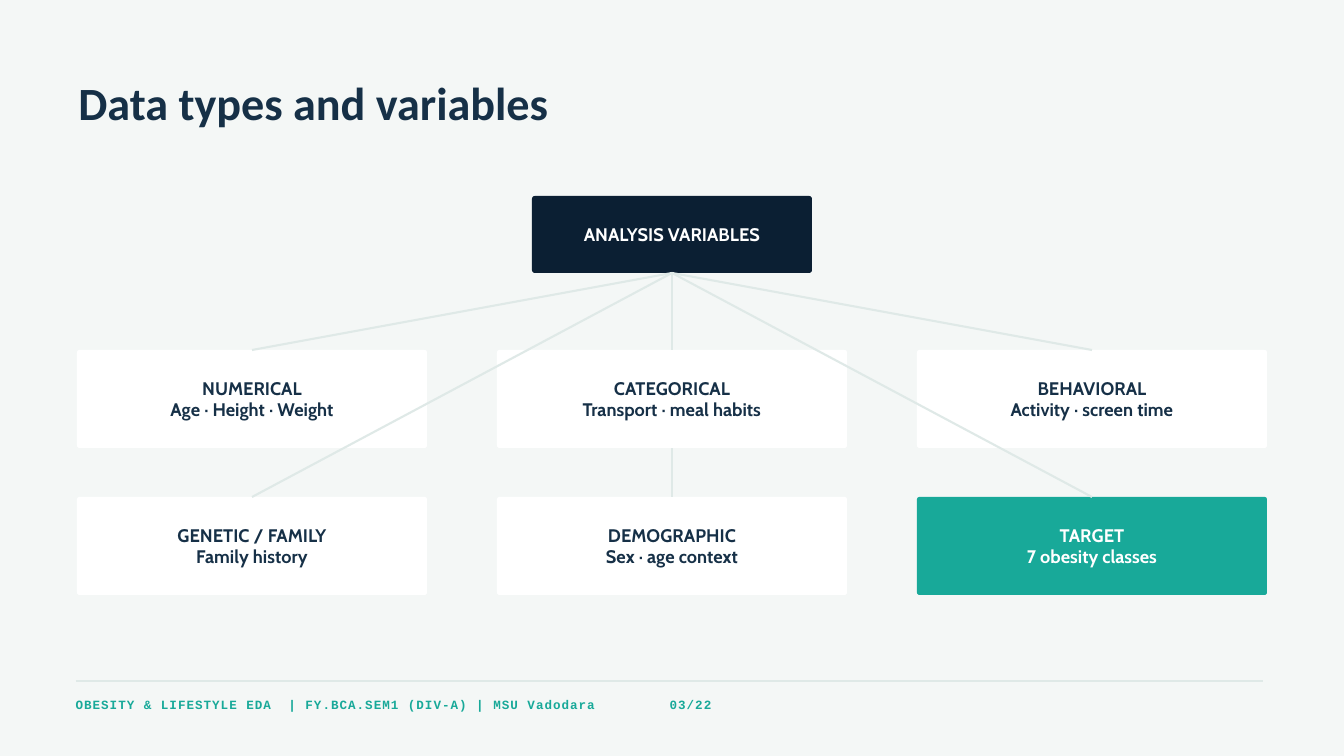
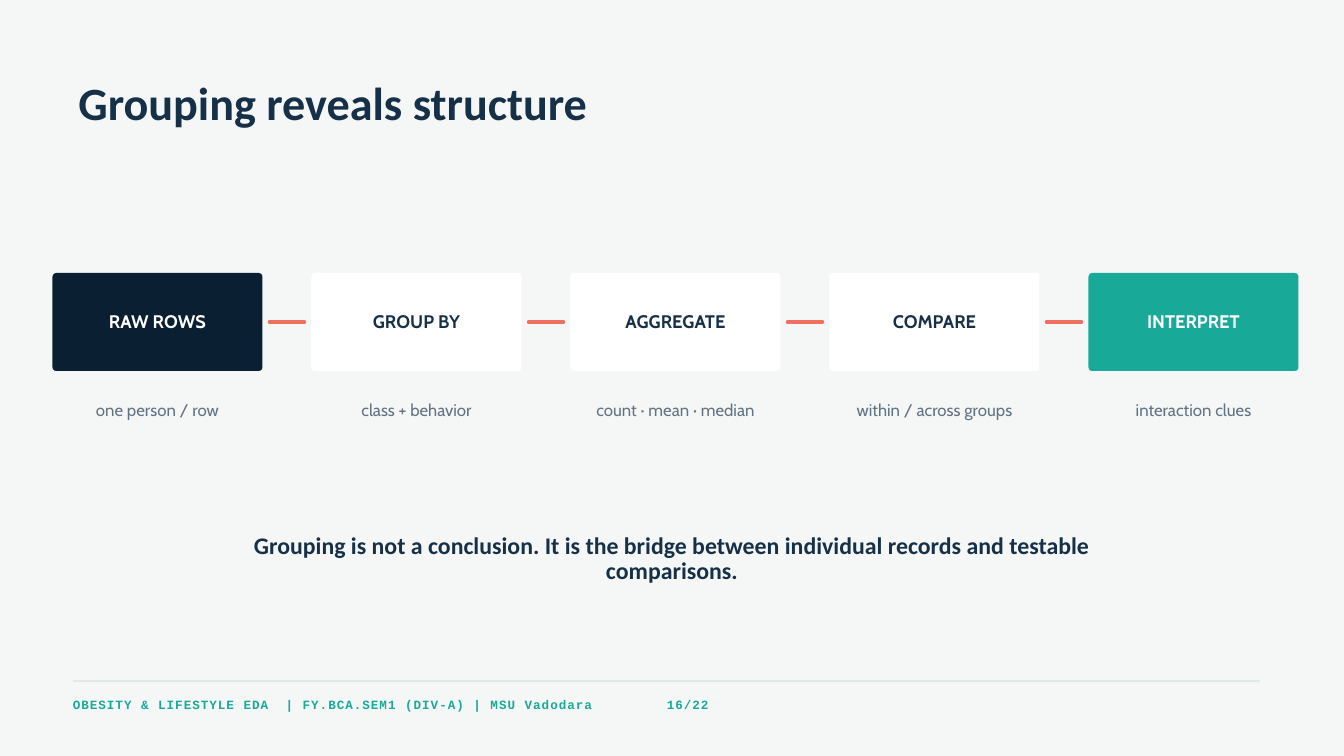
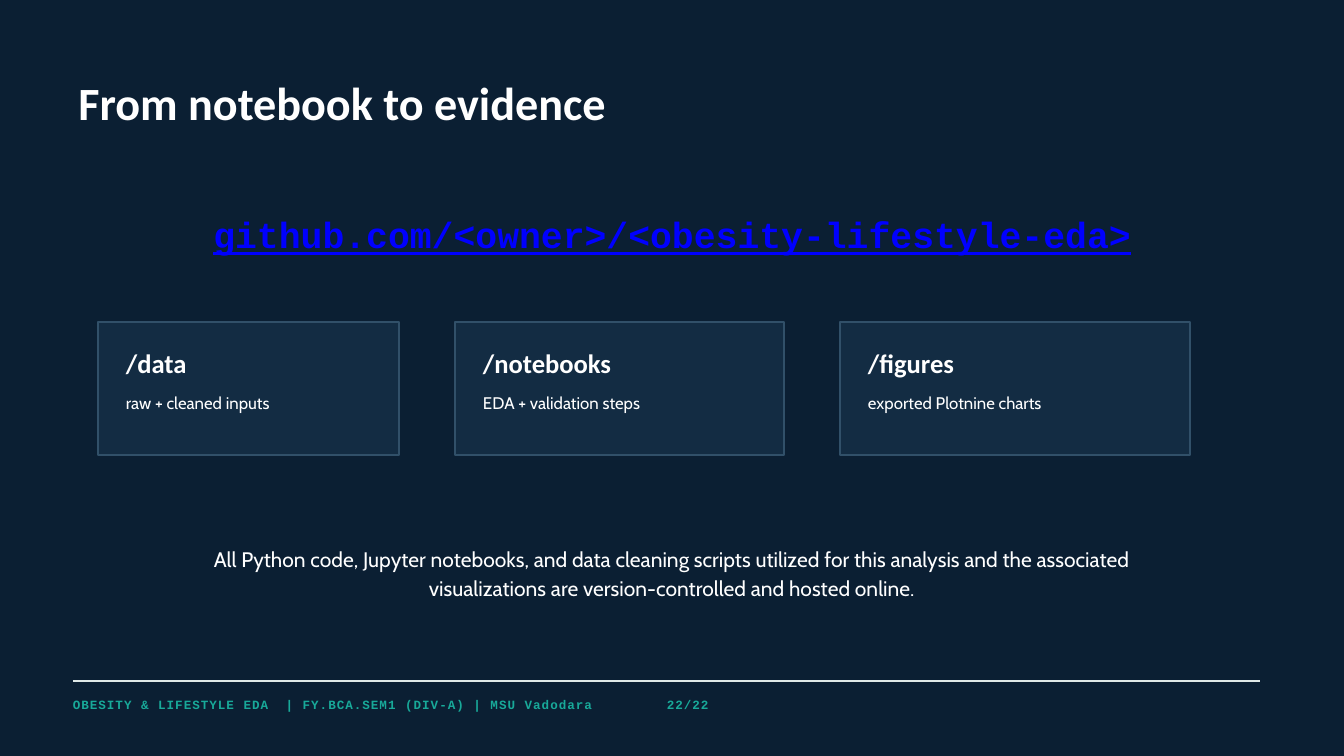
from dataclasses import dataclass

from pptx import Presentation
from pptx.dml.color import RGBColor
from pptx.enum.shapes import MSO_CONNECTOR, MSO_SHAPE
from pptx.enum.text import MSO_ANCHOR, MSO_AUTO_SIZE, PP_ALIGN
from pptx.oxml.ns import qn
from pptx.util import Pt
from lxml import etree


@dataclass(frozen=True)
class TextStyle:
    font: str
    size: float
    line_spacing: float
    bold: bool = False
    underline: bool = False
    tracking: float = 0


class Theme:
    paper = "F4F7F6"
    navy = "0B1F33"
    ink = "163047"
    white = "FFFFFF"
    teal = "18A999"
    coral = "EF6F61"
    slate = "627384"
    rule = "DFE9E7"
    card = "132C43"
    card_border = "315069"
    link = "0000FF"

    title = TextStyle("Calibri", 49.5, 51.5, bold=True)
    heading = TextStyle("Calibri", 28.5, 29.6, bold=True)
    statement = TextStyle("Calibri", 25.5, 26.5, bold=True)
    body = TextStyle("Cabin", 22.5, 30.4)
    box = TextStyle("Cabin", 19.5, 22.4, bold=True)
    caption = TextStyle("Cabin", 18, 24.3)
    address = TextStyle("Courier New", 39, 54.6, bold=True, underline=True)
    footer = TextStyle("Courier New", 13.5, 18.9, bold=True, tracking=1.1)


FOOTER = "OBESITY & LIFESTYLE EDA\t| FY.BCA.SEM1 (DIV-A) | MSU Vadodara"
PAGE_COUNT = 22


class Deck:
    def __init__(self, theme):
        self.theme = theme
        self.presentation = Presentation()
        self.presentation.slide_width = Pt(1440)
        self.presentation.slide_height = Pt(810)
        self.slide = None

    def new_slide(self, title, background, title_color):
        layout = self.presentation.slide_layouts.get_by_name("Title Only")
        self.slide = self.presentation.slides.add_slide(layout)
        fill = self.slide.background.fill
        fill.solid()
        fill.fore_color.rgb = RGBColor.from_string(background)
        placeholder = self.slide.shapes.title
        placeholder.left, placeholder.top = Pt(84), Pt(88)
        placeholder.width, placeholder.height = Pt(1125), Pt(55.5)
        self.set_text(placeholder, title, self.theme.title, title_color)

    def set_text(self, shape, text, style, color, align=PP_ALIGN.LEFT,
                 anchor=MSO_ANCHOR.TOP, inset=0, tab=None):
        frame = shape.text_frame
        frame.word_wrap = True
        frame.auto_size = MSO_AUTO_SIZE.NONE
        frame.vertical_anchor = anchor
        frame.margin_left = frame.margin_right = Pt(inset)
        frame.margin_top = frame.margin_bottom = Pt(inset)
        frame.text = text
        for paragraph in frame.paragraphs:
            paragraph.alignment = align
            paragraph.line_spacing = Pt(style.line_spacing)
            if tab:
                properties = paragraph._p.get_or_add_pPr()
                tab_list = etree.SubElement(properties, qn("a:tabLst"))
                etree.SubElement(tab_list, qn("a:tab"), pos=str(Pt(tab)), algn="l")
            for run in paragraph.runs:
                font = run.font
                font.name = style.font
                font.size = Pt(style.size)
                font.bold = style.bold
                font.underline = style.underline
                font.color.rgb = RGBColor.from_string(color)
                if style.tracking:
                    run._r.get_or_add_rPr().set("spc", str(round(style.tracking * 100)))

    def text(self, left, top, width, height, text, style, color, **options):
        shape = self.slide.shapes.add_textbox(Pt(left), Pt(top), Pt(width), Pt(height))
        self.set_text(shape, text, style, color, **options)

    def panel(self, left, top, width, height, fill, border=None, radius=0):
        kind = MSO_SHAPE.ROUNDED_RECTANGLE if radius else MSO_SHAPE.RECTANGLE
        shape = self.slide.shapes.add_shape(
            kind, Pt(left), Pt(top), Pt(width), Pt(height))
        shape.shadow.inherit = False
        if radius:
            shape.adjustments[0] = radius / min(width, height)
        shape.fill.solid()
        shape.fill.fore_color.rgb = RGBColor.from_string(fill)
        if border:
            shape.line.color.rgb = RGBColor.from_string(border)
            shape.line.width = Pt(1.5)
        else:
            shape.line.fill.background()
        return shape

    def box(self, left, top, width, height, text, fill, radius):
        """Draw a rounded box whose text contrasts with its fill."""
        shape = self.panel(left, top, width, height, fill, radius=radius)
        color = self.theme.ink if fill == self.theme.white else self.theme.white
        self.set_text(shape, text, self.theme.box, color, align=PP_ALIGN.CENTER,
                      anchor=MSO_ANCHOR.MIDDLE, inset=4.5)
        return shape

    def line(self, start, end, color, width, round_cap=False):
        connector = self.slide.shapes.add_connector(
            MSO_CONNECTOR.STRAIGHT, *(Pt(value) for value in (*start, *end)))
        connector.line.color.rgb = RGBColor.from_string(color)
        connector.line.width = Pt(width)
        properties = connector._element.spPr
        etree.SubElement(properties, qn("a:effectLst"))
        if round_cap:
            properties.find(qn("a:ln")).set("cap", "rnd")
        return connector

    def branch(self, parent, child):
        """Join the bottom of the parent to the top of the child."""
        connector = self.line((0, 0), (0, 0), self.theme.rule, 2.25)
        connector.begin_connect(parent, 2)
        connector.end_connect(child, 0)

    def footer(self, page, left=78):
        theme = self.theme
        self.line((left, 730), (left + 1272, 730), theme.rule, 2)
        self.text(left, 744.5, 620, 18, FOOTER, theme.footer, theme.teal, tab=228)
        self.text(left + 636.5, 744.5, 100, 18, f"{page:02}/{PAGE_COUNT}",
                  theme.footer, theme.teal)


def variables_slide(deck):
    theme = deck.theme
    deck.new_slide("Data types and variables", theme.paper, theme.ink)
    root = deck.box(570, 210, 300, 82.5, "ANALYSIS VARIABLES", theme.navy, 3)
    # The demographic branch comes first so that it passes behind the upper row.
    groups = [
        (1, 1, "DEMOGRAPHIC\nSex · age context", theme.white),
        (0, 0, "NUMERICAL\nAge · Height · Weight", theme.white),
        (1, 0, "CATEGORICAL\nTransport · meal habits", theme.white),
        (2, 0, "BEHAVIORAL\nActivity · screen time", theme.white),
        (0, 1, "GENETIC / FAMILY\nFamily history", theme.white),
        (2, 1, "TARGET\n7 obesity classes", theme.teal),
    ]
    for column, row, text, fill in groups:
        group = deck.box(82.5 + 450 * column, 375 + 157.5 * row, 375, 105,
                         text, fill, 2.5)
        deck.branch(root, group)
    deck.footer(3, left=81)


def grouping_slide(deck):
    theme = deck.theme
    deck.new_slide("Grouping reveals structure", theme.paper, theme.ink)
    steps = [
        ("RAW ROWS", "one person / row", theme.navy),
        ("GROUP BY", "class + behavior", theme.white),
        ("AGGREGATE", "count · mean · median", theme.white),
        ("COMPARE", "within / across groups", theme.white),
        ("INTERPRET", "interaction clues", theme.teal),
    ]
    width, pitch = 225, 277.5
    for index, (name, caption, fill) in enumerate(steps):
        left = 56.25 + pitch * index
        deck.box(left, 292.5, width, 105, name, fill, 4)
        deck.text(left, 425.5, width, 24, caption, theme.caption, theme.slate,
                  align=PP_ALIGN.CENTER)
        if index:
            deck.line((left - 45, 345), (left - 7.5, 345), theme.coral, 3.75,
                      round_cap=True)
    deck.text(232.5, 572.5, 975, 54,
              "Grouping is not a conclusion. It is the bridge between individual "
              "records and testable comparisons.",
              theme.statement, theme.ink, align=PP_ALIGN.CENTER)
    deck.footer(16)


def repository_slide(deck):
    theme = deck.theme
    deck.new_slide("From notebook to evidence", theme.navy, theme.white)
    deck.text(112.5, 219, 1215, 52, "github.com/<owner>/<obesity-lifestyle-eda>",
              theme.address, theme.link, align=PP_ALIGN.CENTER)
    folders = [
        ("/data", "raw + cleaned inputs", 322.5),
        ("/notebooks", "EDA + validation steps", 352.5),
        ("/figures", "exported Plotnine charts", 375),
    ]
    left, gap, padding = 105, 60, 30
    for name, contents, width in folders:
        deck.panel(left, 345, width, 142.5, theme.card, theme.card_border)
        text_left, text_width = left + padding, width - 2 * padding
        deck.text(text_left, 376.5, text_width, 32, name, theme.heading, theme.white)
        deck.text(text_left, 418.5, text_width, 23, contents, theme.caption, theme.white)
        left += width + gap
    deck.text(180, 582.5, 1080, 59,
              "All Python code, Jupyter notebooks, and data cleaning scripts utilized "
              "for this analysis and the associated visualizations are "
              "version-controlled and hosted online.",
              theme.body, theme.white, align=PP_ALIGN.CENTER)
    deck.footer(22)


def main():
    deck = Deck(Theme())
    variables_slide(deck)
    grouping_slide(deck)
    repository_slide(deck)
    deck.presentation.save("out.pptx")


if __name__ == "__main__":
    main()
